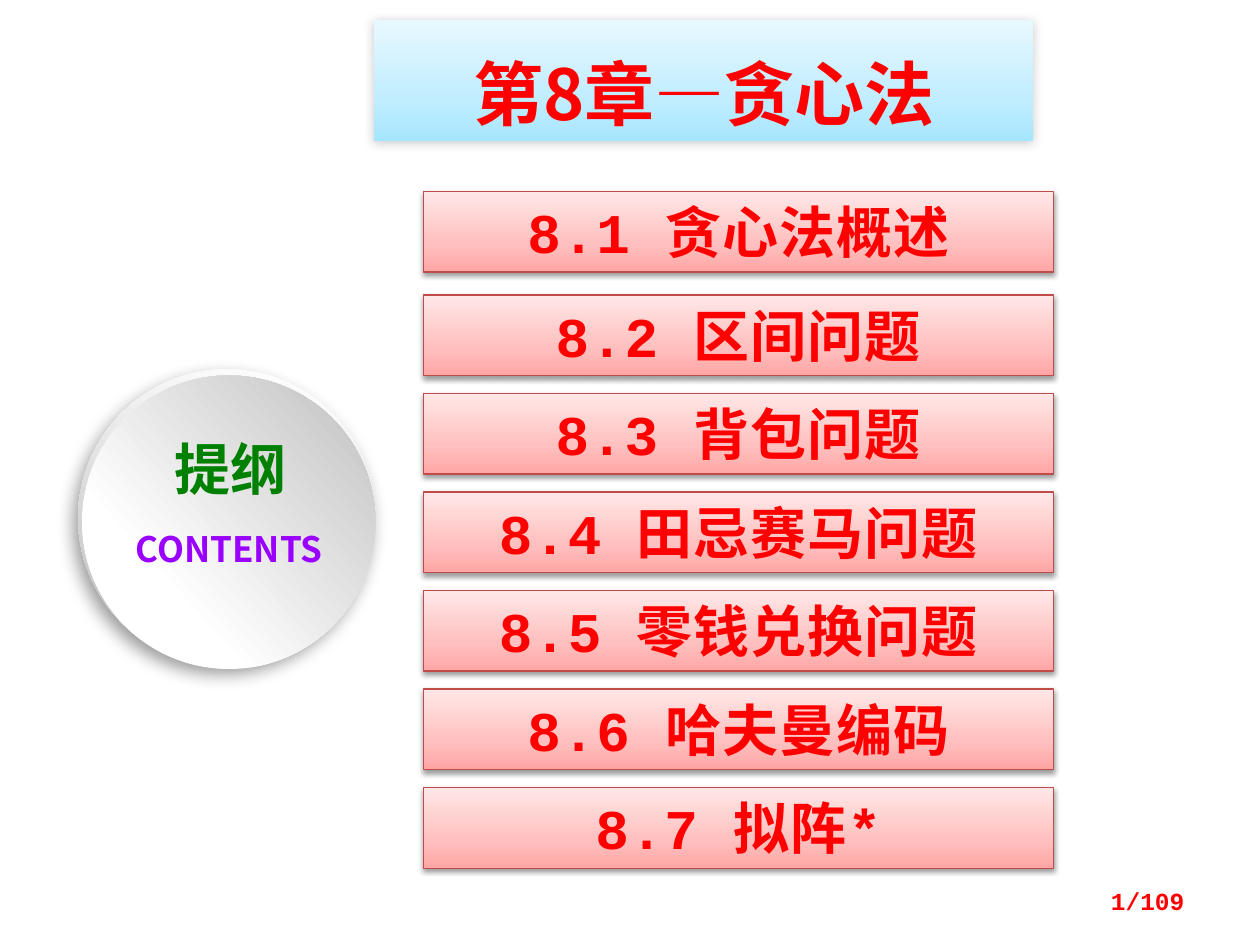
import pptx
import pptx.util
import pptx.dml.color
import pptx.enum.shapes
import pptx.enum.text
import pptx.oxml
import pptx.oxml.ns
from lxml import etree

qn = pptx.oxml.ns.qn
Pt = pptx.util.Pt
KIND = pptx.enum.shapes.MSO_SHAPE
ALIGN = pptx.enum.text.PP_ALIGN
ANCHOR = pptx.enum.text.MSO_ANCHOR
SANS, MONO = "Noto Sans CJK SC", "Courier New"
RED = "FF0000"

deck = pptx.Presentation()
deck.slide_width = pptx.util.Inches(10)
deck.slide_height = pptx.util.Inches(7.5)
slide = deck.slides.add_slide(deck.slide_layouts[5])
shapes = slide.shapes


def area(x, y, w, h):
    """Turn percentages of the slide into left, top, width, height."""
    wide, high = deck.slide_width / 100, deck.slide_height / 100
    return int(x * wide), int(y * high), int(w * wide), int(h * high)


def paint(shape, stops, angle, shade=None, edge=None):
    """Gradient stops (percent, hex), clockwise angle, shadow and outline."""
    shape.fill.gradient()
    shape.fill.gradient_angle = 360 - angle
    props = shape._element.spPr
    ramp = props.find(".//" + qn("a:gsLst"))
    ramp.clear()
    for at, tint in stops:
        stop = etree.SubElement(ramp, qn("a:gs"), pos=str(at * 1000))
        etree.SubElement(stop, qn("a:srgbClr"), val=tint)
    if edge:
        shape.line.color.rgb = pptx.dml.color.RGBColor.from_string(edge)
        shape.line.width = Pt(0.75)
    else:
        shape.line.fill.background()
    shape.shadow.inherit = False
    if shade:
        alpha, blur, dist, turn = shade
        cast = etree.SubElement(
            props.find(qn("a:effectLst")), qn("a:outerShdw"),
            blurRad=str(Pt(blur)), dist=str(Pt(dist)),
            dir=str(turn * 60000), algn="ctr", rotWithShape="0")
        tint = etree.SubElement(cast, qn("a:srgbClr"), val="000000")
        etree.SubElement(tint, qn("a:alpha"), val=str(alpha * 1000))


def write(shape, text, size, face, tint, align=ALIGN.CENTER, anchor=ANCHOR.TOP, track=0):
    frame = shape.text_frame
    frame.word_wrap = True
    frame.vertical_anchor = anchor
    para = frame.paragraphs[0]
    para.text = text
    para.alignment = align
    font = para.font
    font.size, font.name, font.bold = Pt(size), face, True
    font.color.rgb = pptx.dml.color.RGBColor.from_string(tint)
    base = para._p.pPr.find(qn("a:defRPr"))
    base.find(qn("a:latin")).addnext(
        base.makeelement(qn("a:ea"), {"typeface": SANS}))
    if track:
        base.set("spc", str(int(track * 100)))


# Chapter title
title = shapes.title
title.left, title.top, title.width, title.height = area(29.7, 2.13, 52.3, 12.8)
paint(title, [(0, "A7E6FF"), (35, "C1EDFF"), (100, "E7F8FF")], 270, (20, 6, 1, 135))
write(title, "第8章—贪心法", 40, SANS, RED)
title.text_frame.margin_top = pptx.util.Inches(0.24)

# Section bars: the first stands alone, the rest are evenly spaced
names = ["贪心法概述", "区间问题", "背包问题", "田忌赛马问题",
         "零钱兑换问题", "哈夫曼编码", "拟阵*"]
for i, name in enumerate(names):
    top = 31.2 + 10.43 * (i - 1) if i else 20.27
    bar = shapes.add_shape(KIND.RECTANGLE, *area(33.6, top, 50, 8.53))
    paint(bar, [(0, "FFA6A5"), (35, "FFC0BF"), (100, "FFE7E7")], 270,
          (38, 3.1, 1.6, 90), "BF4C48")
    write(bar, f"8.{i + 1} {name}", 32, MONO, RED, track=0.5)

# Contents disc: rim, then face
rim = shapes.add_shape(KIND.OVAL, *area(6.2, 39.07, 23.6, 31.47))
rim.rotation = 62.3
paint(rim, [(17, "FFFFFF"), (88, "B8B8B8")], 45, (39, 10, 5, 123))
face = shapes.add_shape(KIND.OVAL, *area(6.5, 39.73, 23.3, 31.07))
face.rotation = 273
paint(face, [(29, "FFFFFF"), (98, "BFBFBF")], 45)

# Disc labels and page number
for spot, text, size, font, tint, align, anchor in [
    ((9, 55.2, 18.4, 5.87), "CONTENTS", 20, SANS, "9900FF", ALIGN.CENTER, ANCHOR.TOP),
    ((10.6, 45.33, 15.4, 8.53), "提纲", 32, SANS, "008000", ALIGN.CENTER, ANCHOR.TOP),
    ((71.7, 92.67, 23.3, 5.33), "1/109", 14, MONO, RED, ALIGN.RIGHT, ANCHOR.MIDDLE),
]:
    write(shapes.add_textbox(*area(*spot)), text, size, font, tint, align, anchor)

deck.save("out.pptx")
